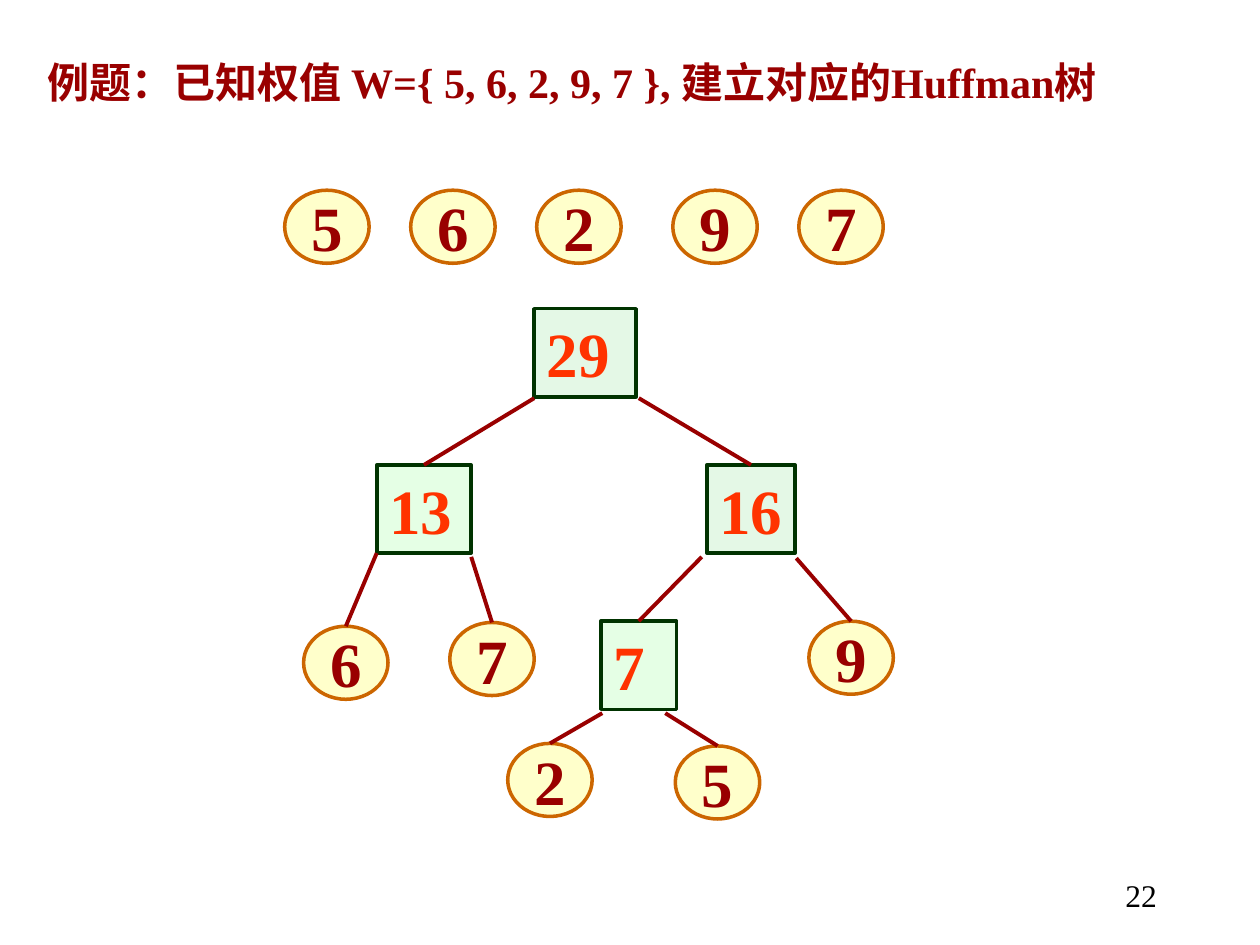
from dataclasses import dataclass

from lxml.etree import SubElement
from pptx import Presentation
from pptx.dml.color import RGBColor
from pptx.enum.shapes import MSO_CONNECTOR, MSO_SHAPE
from pptx.enum.text import MSO_ANCHOR, PP_ALIGN
from pptx.oxml.ns import qn
from pptx.util import Inches, Pt


@dataclass(frozen=True)
class Theme:
    """Colours, fonts and sizes of the slide."""
    dark_red: str = "990000"
    sum_red: str = "FF3300"
    black: str = "000000"
    leaf_fill: str = "FFFF99"
    leaf_line: str = "CC6600"
    sum_fill: str = "CCFFCC"
    merged_fill: str = "CAF2CE"
    sum_line: str = "003300"
    latin: str = "Times New Roman"
    chinese: str = "Noto Sans CJK SC"
    title_size: int = 24
    node_size: int = 36
    number_size: int = 18
    outline: float = 2
    edge: float = 2.25
    opacity: int = 50


THEME = Theme()
LEAF_SIZE = (0.67, 0.58)
SUM_HEIGHT = 0.7
WEIGHTS = [("5", 0), ("6", 1), ("2", 2), ("9", 3.08), ("7", 4.08)]
SUMS = {
    "sum 29": ("29", 1.83, 0, 0.81, THEME.merged_fill),
    "sum 13": ("13", 0.58, 1.24, 0.75, THEME.sum_fill),
    "sum 16": ("16", 3.2, 1.24, 0.7, THEME.merged_fill),
    "sum 7": ("7", 2.36, 2.48, 0.6, THEME.sum_fill),
}
LEAVES = {
    "leaf 6": ("6", 0, 2.52),
    "leaf 7": ("7", 1.16, 2.49),
    "leaf 9": ("9", 4.01, 2.48),
    "leaf 2": ("2", 1.62, 3.45),
    "leaf 5": ("5", 2.95, 3.47),
}
EDGES = [
    (1.83, 0.71, "sum 13"), (2.66, 0.71, "sum 16"),
    (0.58, 1.94, "leaf 6"), (1.33, 1.97, "leaf 7"),
    (3.16, 1.97, "sum 7"), (3.91, 1.98, "leaf 9"),
    (2.37, 3.21, "leaf 2"), (2.87, 3.21, "leaf 5"),
]


def add_run(paragraph, text, size, color, bold=True, font=THEME.latin):
    """Add one run with its Latin and East Asian fonts."""
    run = paragraph.add_run()
    run.text = text
    run.font.size = Pt(size)
    run.font.bold = bold
    run.font.name = font
    run.font.color.rgb = RGBColor.from_string(color)
    SubElement(run.font._element, qn("a:ea"), typeface=THEME.chinese)


def add_node(slide, kind, box, text, fill, line, color, align, anchor):
    """Draw one half-transparent node with its weight."""
    shape = slide.shapes.add_shape(kind, *map(Inches, box))
    shape.shadow.inherit = False
    shape.fill.solid()
    shape.fill.fore_color.rgb = RGBColor.from_string(fill)
    fill_color = shape._element.spPr.find(qn("a:solidFill"))[0]
    SubElement(fill_color, qn("a:alpha"), val=str(THEME.opacity * 1000))
    shape.line.color.rgb = RGBColor.from_string(line)
    shape.line.width = Pt(THEME.outline)
    frame = shape.text_frame
    frame.word_wrap = False
    frame.vertical_anchor = anchor
    paragraph = frame.paragraphs[0]
    paragraph.alignment = align
    add_run(paragraph, text, THEME.node_size, color)
    return shape


def add_leaf(slide, left, top, text):
    """Draw an oval holding one given weight."""
    return add_node(slide, MSO_SHAPE.OVAL, (left, top, *LEAF_SIZE), text,
                    THEME.leaf_fill, THEME.leaf_line, THEME.dark_red,
                    PP_ALIGN.CENTER, MSO_ANCHOR.MIDDLE)


def add_sum(slide, left, top, width, text, fill):
    """Draw a rectangle holding the sum of two children."""
    return add_node(slide, MSO_SHAPE.RECTANGLE, (left, top, width, SUM_HEIGHT),
                    text, fill, THEME.sum_line, THEME.sum_red,
                    PP_ALIGN.LEFT, MSO_ANCHOR.TOP)


def add_edge(slide, left, top, child):
    """Draw a line from a parent's corner to the top of its child."""
    start = (Inches(left), Inches(top))
    edge = slide.shapes.add_connector(MSO_CONNECTOR.STRAIGHT, *start, *start)
    edge.end_connect(child, 0)
    edge.line.color.rgb = RGBColor.from_string(THEME.dark_red)
    edge.line.width = Pt(THEME.edge)
    SubElement(edge._element.spPr, qn("a:effectLst"))


def add_text_line(slide, box, align):
    """Add a wrapping text box and return its paragraph."""
    frame = slide.shapes.add_textbox(*map(Inches, box)).text_frame
    frame.word_wrap = True
    paragraph = frame.paragraphs[0]
    paragraph.alignment = align
    return paragraph


def add_title(slide, box):
    """Write the exercise statement."""
    paragraph = add_text_line(slide, box, PP_ALIGN.LEFT)
    add_run(paragraph, "例题：已知权值 ", THEME.title_size, THEME.dark_red,
            font=THEME.chinese)
    add_run(paragraph, "W={ 5, 6, 2, 9, 7 }, 建立对应的Huffman树",
            THEME.title_size, THEME.dark_red)


def add_weights(slide, left, top):
    """Draw the row of given weights."""
    for text, offset in WEIGHTS:
        add_leaf(slide, left + offset, top, text)


def add_tree(slide, left, top):
    """Draw the Huffman tree and its edges."""
    nodes = {}
    for name, (text, across, down, width, fill) in SUMS.items():
        nodes[name] = add_sum(slide, left + across, top + down, width, text, fill)
    for name, (text, across, down) in LEAVES.items():
        nodes[name] = add_leaf(slide, left + across, top + down, text)
    for across, down, child in EDGES:
        add_edge(slide, left + across, top + down, nodes[child])


def add_page_number(slide, box):
    """Write the page number at the lower right."""
    paragraph = add_text_line(slide, box, PP_ALIGN.RIGHT)
    add_run(paragraph, "22", THEME.number_size, THEME.black, bold=False)


def main():
    """Build and save the presentation."""
    presentation = Presentation()
    presentation.slide_width = Inches(10)
    presentation.slide_height = Inches(7.5)
    slide = presentation.slides.add_slide(presentation.slide_layouts[6])
    add_title(slide, (0.28, 0.4, 8.98, 0.5))
    add_weights(slide, 2.26, 1.51)
    add_tree(slide, 2.41, 2.45)
    add_page_number(slide, (7.2, 6.9, 2.08, 0.5))
    presentation.save("out.pptx")


if __name__ == "__main__":
    main()
